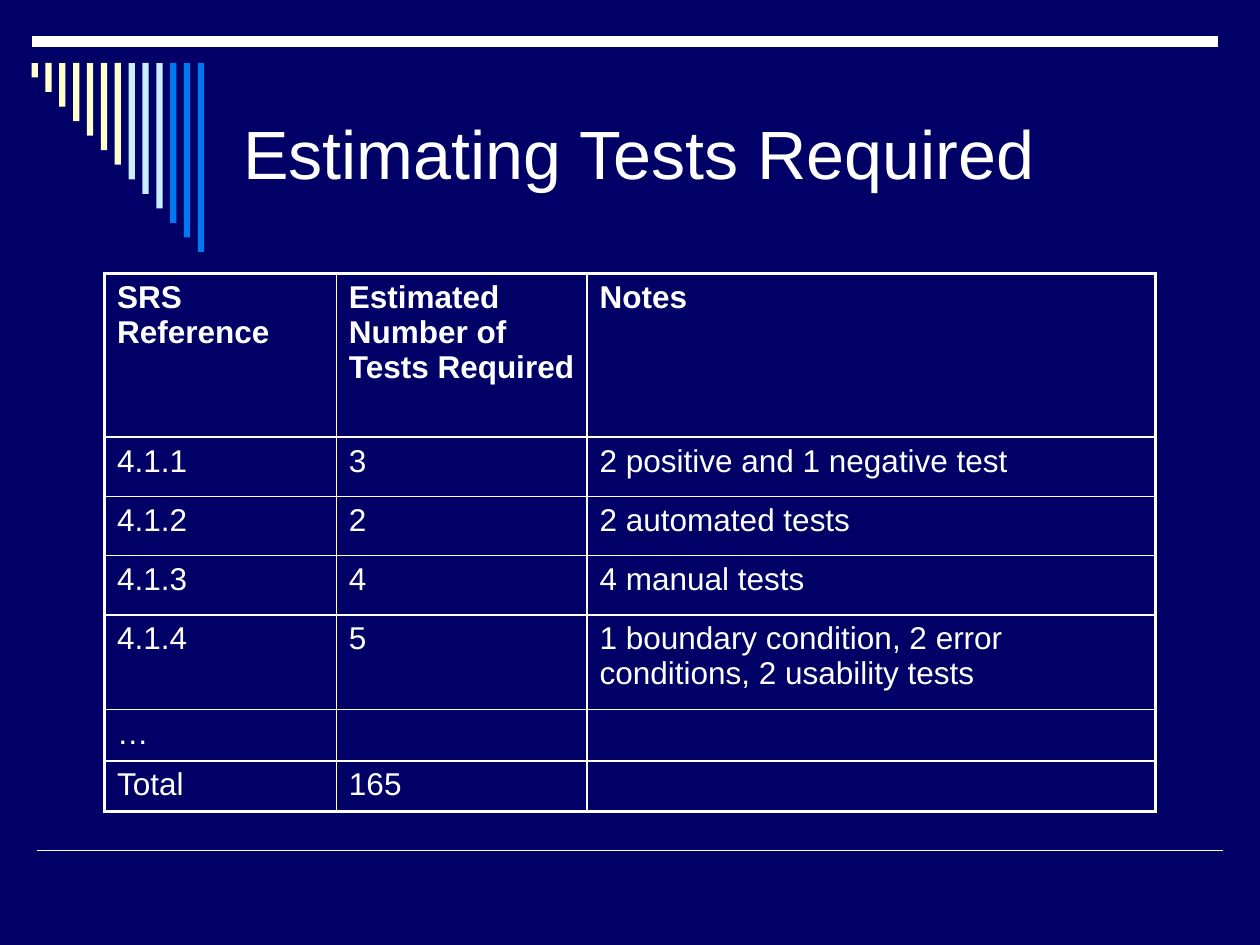
from lxml.etree import SubElement
from pptx import Presentation
from pptx.dml.color import RGBColor
from pptx.enum.shapes import MSO_CONNECTOR as CONNECTOR, MSO_SHAPE as SHAPE
from pptx.enum.text import MSO_ANCHOR as ANCHOR, PP_ALIGN as ALIGN
from pptx.oxml import parse_xml
from pptx.oxml.ns import nsdecls, qn
from pptx.util import Inches, Pt

NAVY = RGBColor(0x00, 0x00, 0x66)
WHITE = RGBColor(0xFF, 0xFF, 0xFF)
CREAM = RGBColor(0xFF, 0xFF, 0xCC)
ICE = RGBColor(0xCC, 0xEC, 0xFF)
BLUE = RGBColor(0x00, 0x78, 0xF0)
FONT = "Arial"

TITLE = "Estimating Tests Required"
ESTIMATES = [
    ("SRS Reference", "Estimated Number of Tests Required", "Notes"),
    ("4.1.1", "3", "2 positive and 1 negative test"),
    ("4.1.2", "2", "2 automated tests"),
    ("4.1.3", "4", "4 manual tests"),
    ("4.1.4", "5", "1 boundary condition, 2 error conditions, 2 usability tests"),
    ("…", "", ""),
    ("Total", "165", ""),
]
COLUMN_WIDTHS = (1.84, 1.99, 4.51)
ROW_HEIGHTS = (1.3, 0.47, 0.47, 0.47, 0.75, 0.41, 0.4)
TABLE_LEFT, TABLE_TOP = 0.83, 2.17
OUTER, INNER = 2.25, 1

RULES = [(0.29, 6.75, 1), (0.25, 0.33, 6)]  # left, top, weight
RULE_LENGTH = 9.42
BAR_COLOURS = [CREAM] * 7 + [ICE] * 3 + [BLUE] * 3
BAR_LEFT, BAR_TOP, BAR_WIDTH, BAR_PITCH, BAR_MAX = 0.25, 0.5, 0.05, 0.11, 1.5


def style(paragraph, size, bold=False):
    """Give a paragraph the slide's white font."""
    font = paragraph.font
    font.name, font.size, font.bold = FONT, Pt(size), bold
    font.color.rgb = WHITE


def add_rule(slide, left, top, weight):
    """Draw one horizontal white rule."""
    rule = slide.shapes.add_connector(
        CONNECTOR.STRAIGHT, Inches(left), Inches(top),
        Inches(left + RULE_LENGTH), Inches(top))
    rule.line.color.rgb = WHITE
    rule.line.width = Pt(weight)
    SubElement(rule.element.spPr, qn("a:effectLst"))


def add_bars(slide):
    """Draw the hanging bars, each longer than the one before."""
    bars = slide.shapes.add_group_shape()
    for i, colour in enumerate(BAR_COLOURS):
        height = BAR_MAX * (i + 1) / len(BAR_COLOURS)
        bar = bars.shapes.add_shape(
            SHAPE.RECTANGLE, Inches(BAR_LEFT + i * BAR_PITCH), Inches(BAR_TOP),
            Inches(BAR_WIDTH), Inches(height))
        bar.shadow.inherit = False
        bar.fill.solid()
        bar.fill.fore_color.rgb = colour
        bar.line.fill.background()


def add_title(slide):
    """Place and format the title."""
    title = slide.shapes.title
    title.left, title.top = Inches(1.83), Inches(0.5)
    title.width, title.height = Inches(7.67), Inches(1.42)
    title.text_frame.text = TITLE
    title.text_frame.vertical_anchor = ANCHOR.MIDDLE
    heading = title.text_frame.paragraphs[0]
    heading.alignment = ALIGN.LEFT
    style(heading, 39)


def set_borders(cell, weights):
    """Line the left, right, top and bottom sides of a cell."""
    properties = cell._tc.get_or_add_tcPr()
    for position, (side, weight) in enumerate(zip("LRTB", weights)):
        properties.insert(position, parse_xml(
            f'<a:ln{side} {nsdecls("a")} w="{Pt(weight)}"><a:solidFill>'
            f'<a:srgbClr val="{WHITE}"/></a:solidFill></a:ln{side}>'))


def add_estimates(slide):
    """Build the table with a heavy outer frame."""
    last_row, last_column = len(ROW_HEIGHTS) - 1, len(COLUMN_WIDTHS) - 1
    table = slide.shapes.add_table(
        len(ROW_HEIGHTS), len(COLUMN_WIDTHS), Inches(TABLE_LEFT), Inches(TABLE_TOP),
        Inches(sum(COLUMN_WIDTHS)), Inches(sum(ROW_HEIGHTS))).table
    table.horz_banding = False
    for column, width in zip(table.columns, COLUMN_WIDTHS):
        column.width = Inches(width)
    for r, (row, height) in enumerate(zip(table.rows, ROW_HEIGHTS)):
        row.height = Inches(height)
        for c, cell in enumerate(row.cells):
            cell.text = ESTIMATES[r][c]
            style(cell.text_frame.paragraphs[0], 18, bold=r == 0)
            cell.fill.background()
            on_frame = (c == 0, c == last_column, r == 0, r == last_row)
            set_borders(cell, [OUTER if edge else INNER for edge in on_frame])


def main():
    """Build and save the slide."""
    deck = Presentation()
    deck.slide_width, deck.slide_height = Inches(10), Inches(7.5)
    slide = deck.slides.add_slide(deck.slide_layouts[5])
    slide.background.fill.solid()
    slide.background.fill.fore_color.rgb = NAVY
    for rule in RULES:
        add_rule(slide, *rule)
    add_bars(slide)
    add_title(slide)
    add_estimates(slide)
    deck.save("out.pptx")


main()
